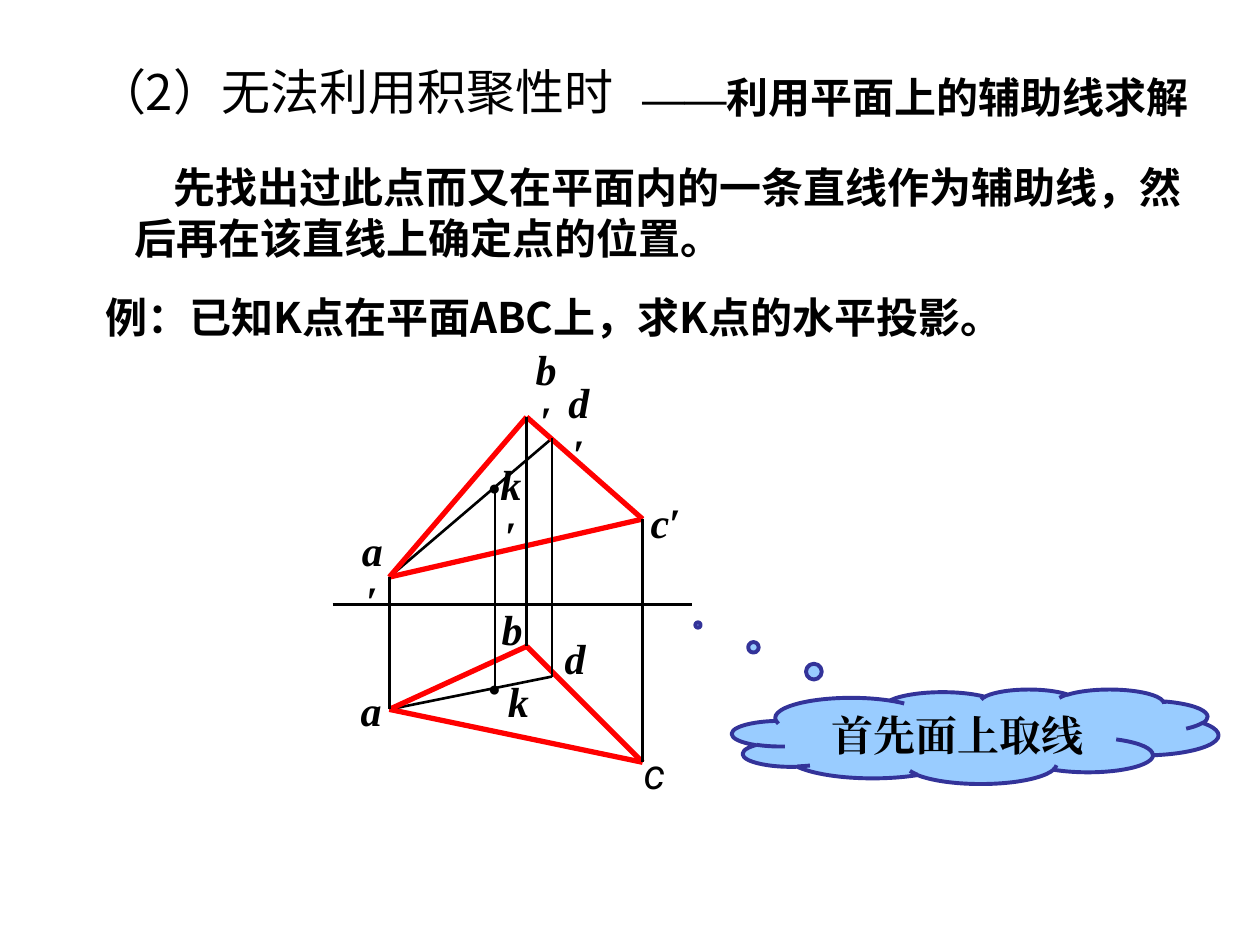
from lxml import etree
from pptx import Presentation
from pptx.dml.color import RGBColor
from pptx.enum.shapes import MSO_CONNECTOR, MSO_SHAPE
from pptx.enum.text import MSO_ANCHOR, MSO_AUTO_SIZE, PP_ALIGN
from pptx.oxml.ns import qn
from pptx.util import Pt

PX = 9144
LEFT, CENTER = PP_ALIGN.LEFT, PP_ALIGN.CENTER
TOP, MIDDLE = MSO_ANCHOR.TOP, MSO_ANCHOR.MIDDLE
GROW = MSO_AUTO_SIZE.SHAPE_TO_FIT_TEXT
STRAIGHT = MSO_CONNECTOR.STRAIGHT
CLOUD = MSO_SHAPE.CLOUD_CALLOUT
TITLE_ONLY = 5

SANS, SERIF, LATIN = "Noto Sans CJK SC", "Times New Roman", "Roboto"
BLACK, RED, SKY, NAVY = "000000", "FF0000", "99CCFF", "333399"

FRONT = {"a": (309, 458), "b": (418, 331), "c": (510, 412), "d": (438, 348), "k": (393, 388)}
PLAN = {"a": (309, 563), "b": (418, 513), "c": (510, 605), "d": (438, 537), "k": (393, 547)}
FRONT_LABELS = [("a", 273, 431), ("b", 411, 288), ("c", 506, 389), ("d", 437, 314), ("k", 383, 379)]
PLAN_LABELS = [("a", 276, 538), ("b", 388, 474), ("d", 438, 497), ("k", 393, 531)]


def px(*lengths):
    return [length * PX for length in lengths]


def color(value):
    return RGBColor.from_string(value)


def set_font(font, name, size=24, bold=True, italic=False):
    font.name, font.size, font.bold, font.italic = name, Pt(size), bold, italic
    font.color.rgb = color(BLACK)
    east_asian = etree.Element(qn("a:ea"), typeface=name)
    font._element.find(qn("a:latin")).addnext(east_asian)


def set_frame(shape, align=LEFT, anchor=MIDDLE, wrap=True):
    frame = shape.text_frame
    frame.word_wrap, frame.auto_size, frame.vertical_anchor = wrap, GROW, anchor
    paragraph = frame.paragraphs[0]
    paragraph.alignment = align
    return paragraph


def add_text(slide, box, text, name=SANS, align=LEFT, wrap=True, indent=0, **style):
    paragraph = set_frame(slide.shapes.add_textbox(*px(*box)), align, wrap=wrap)
    paragraph.text = text
    if indent:
        paragraph._p.get_or_add_pPr().set("indent", str(indent * PX))
    set_font(paragraph.font, name, **style)


def add_runs(paragraph, runs):
    for text, name, italic in runs:
        run = paragraph.add_run()
        run.text = text
        set_font(run.font, name, italic=italic)


def add_title(slide, box, text):
    title = slide.shapes.title
    title.left, title.top, title.width, title.height = px(*box)
    paragraph = set_frame(title, anchor=TOP)
    paragraph.text = text
    set_font(paragraph.font, SANS, 28, bold=False)


def add_line(slide, start, end, line_color=BLACK, width=1.5):
    line = slide.shapes.add_connector(STRAIGHT, *px(*start, *end))
    line.line.color.rgb = color(line_color)
    line.line.width = Pt(width)
    etree.SubElement(line._element.spPr, qn("a:effectLst"))


def add_view(slide, points):
    add_line(slide, points["a"], points["d"])
    for start, end in ("ab", "bc", "ca"):
        add_line(slide, points[start], points[end], RED, 3)
    x, y = points["k"]
    add_text(slide, (x - 19, y - 16, 37, 30), "●", SERIF, CENTER, wrap=False, size=12)


def add_labels(slide):
    for letter, left, top in FRONT_LABELS:
        label = slide.shapes.add_textbox(*px(left, top, 45, 50))
        add_runs(set_frame(label, CENTER, wrap=False), [(letter, SERIF, True), ("′", SERIF, False)])
    for letter, left, top in PLAN_LABELS:
        add_text(slide, (left, top, 37, 50), letter, SERIF, CENTER, wrap=False, italic=True)
    add_text(slide, (501, 588, 35, 50), "c", LATIN, CENTER, wrap=False, bold=False, italic=True)


def add_cloud(slide, box, text):
    cloud = slide.shapes.add_shape(CLOUD, *px(*box))
    cloud.shadow.inherit = False
    cloud.adjustments[0], cloud.adjustments[1] = -0.57, -1.18
    cloud.fill.solid()
    cloud.fill.fore_color.rgb = color(SKY)
    cloud.line.color.rgb = color(NAVY)
    cloud.line.width = Pt(2.25)
    paragraph = set_frame(cloud, CENTER)
    paragraph.text = text
    set_font(paragraph.font, SERIF)


def main():
    deck = Presentation()
    deck.slide_width, deck.slide_height = px(1000, 750)
    slide = deck.slides.add_slide(deck.slide_layouts[TITLE_ONLY])

    add_title(slide, (67, 44, 543, 57), "（2）无法利用积聚性时")
    method = slide.shapes.add_textbox(*px(500, 52, 480, 50))
    add_runs(set_frame(method), [("——", SERIF, False), ("利用平面上的辅助线求解", SANS, False)])
    add_text(slide, (97, 123, 863, 91),
             "先找出过此点而又在平面内的一条直线作为辅助线，然后再在该直线上确定点的位置。", indent=31)
    add_text(slide, (74, 226, 886, 51), "例：已知K点在平面ABC上，求K点的水平投影。")

    add_line(slide, (264, 480), (549, 480))
    for view in (FRONT, PLAN):
        add_view(slide, view)
    for letter in FRONT:
        add_line(slide, FRONT[letter], PLAN[letter])
    add_labels(slide)
    add_cloud(slide, (581, 547, 386, 75), "首先面上取线")

    deck.save("out.pptx")


if __name__ == "__main__":
    main()
